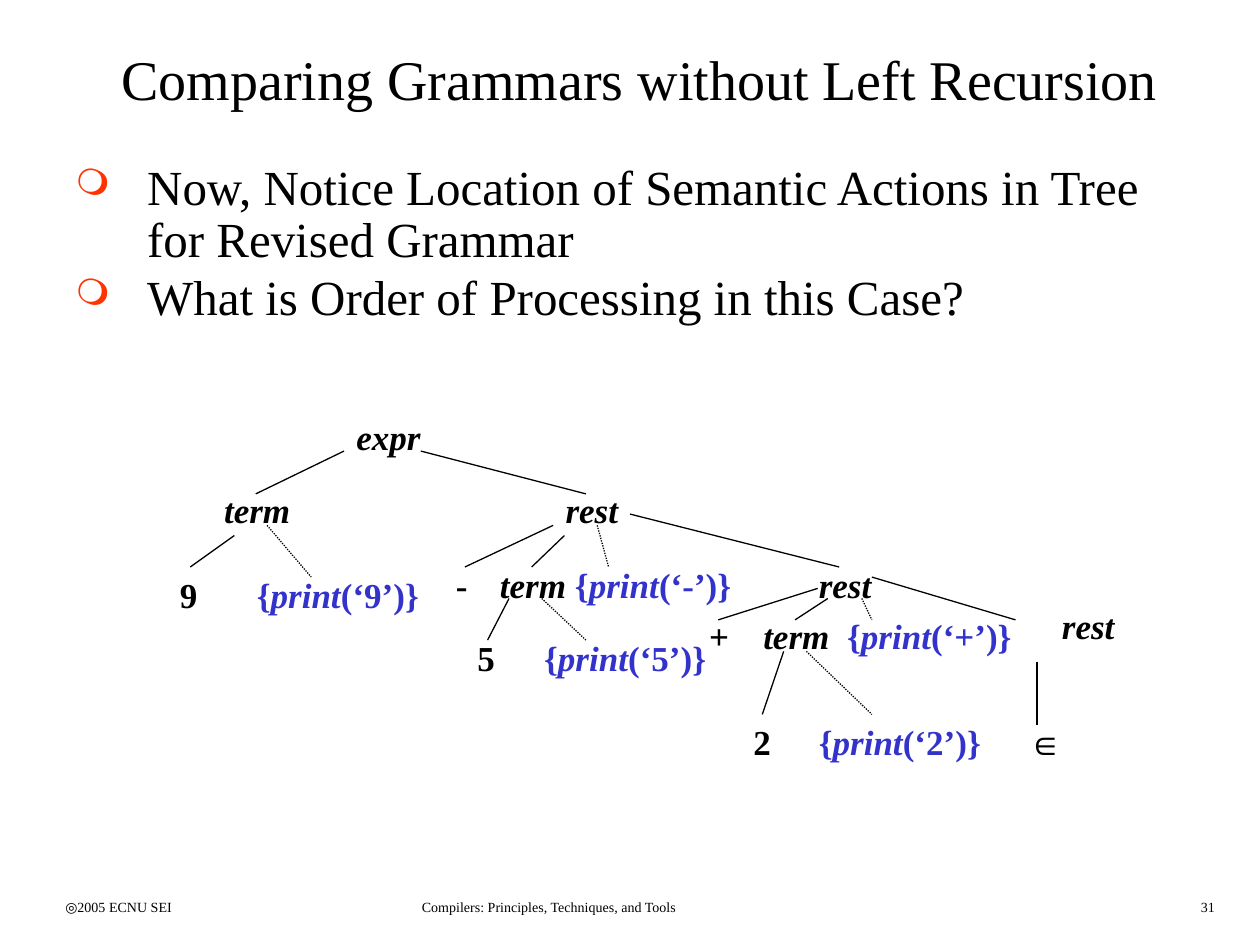
from dataclasses import dataclass
from typing import NamedTuple

from lxml.etree import SubElement
from pptx import Presentation
from pptx.dml.color import RGBColor
from pptx.enum.dml import MSO_LINE_DASH_STYLE as Dash
from pptx.enum.shapes import MSO_CONNECTOR as Connector
from pptx.enum.text import MSO_ANCHOR as Anchor, PP_ALIGN as Align
from pptx.oxml.ns import qn
from pptx.util import Inches, Pt


@dataclass(frozen=True)
class Theme:
    font: str = "Times New Roman"
    ink: RGBColor = RGBColor(0x00, 0x00, 0x00)
    action: RGBColor = RGBColor(0x33, 0x33, 0xCC)
    bullet: str = "FF3300"
    title_size: int = 32
    body_size: int = 28
    tree_size: int = 20
    footer_size: int = 8
    line_width: float = 0.75


class Node(NamedTuple):
    left: float
    top: float
    width: float
    symbol: str = ""
    action: str = ""  # the character that the semantic action prints


class Branch(NamedTuple):
    start: tuple[float, float]
    end: tuple[float, float]
    dotted: bool = False


THEME = Theme()
NONTERMINALS = ("expr", "term", "rest")
NODE_HEIGHT = 0.43

FOOTERS = [
    (0.42, 2.07, "◎2005 ECNU SEI", Align.LEFT),
    (3.25, 3.73, "Compilers: Principles, Techniques, and Tools", Align.LEFT),
    (7.67, 2.07, "31", Align.RIGHT),
]

POINTS = [
    "Now, Notice Location of Semantic Actions in Tree for Revised Grammar",
    "What is Order of Processing in this Case?",
]

NODES = [
    Node(2.73, 3.25, 1.31, "expr"),
    Node(1.68, 3.83, 1.31, "term"),
    Node(4.39, 3.83, 1.31, "rest"),
    Node(1.33, 4.5, 0.52, "9"),
    Node(1.94, 4.5, 2.53, action="9"),
    Node(3.52, 4.42, 0.52, "-"),
    Node(3.87, 4.42, 2.53, "term ", "-"),
    Node(6.4, 4.42, 1.31, "rest"),
    Node(3.69, 5, 0.52, "5"),
    Node(4.22, 5, 2.53, action="5"),
    Node(5.53, 4.83, 0.52, "+"),
    Node(5.96, 4.83, 2.53, "term  ", "+"),
    Node(8.33, 4.75, 1, "rest"),
    Node(5.88, 5.67, 0.52, "2"),
    Node(6.4, 5.67, 2.01, action="2"),
    Node(8.06, 5.67, 0.52, "∈"),
]

BRANCHES = [
    # expr
    Branch((2.73, 3.58), (2.03, 3.92)),
    Branch((3.34, 3.58), (4.65, 3.92)),
    # first term
    Branch((1.86, 4.25), (1.51, 4.5)),
    Branch((2.12, 4.17), (2.47, 4.58), dotted=True),
    # first rest
    Branch((4.39, 4.17), (3.69, 4.5)),
    Branch((4.48, 4.25), (4.22, 4.5)),
    Branch((4.74, 4.17), (4.83, 4.5), dotted=True),
    Branch((5, 4.08), (6.66, 4.5)),
    # second term
    Branch((4.04, 4.75), (3.87, 5.08)),
    Branch((4.3, 4.75), (4.65, 5.08), dotted=True),
    # second rest
    Branch((6.49, 4.67), (5.7, 4.92)),
    Branch((6.57, 4.75), (6.31, 4.92)),
    Branch((6.84, 4.75), (6.92, 4.92), dotted=True),
    Branch((6.92, 4.58), (8.06, 4.92)),
    # third term
    Branch((6.22, 5.17), (6.05, 5.67)),
    Branch((6.4, 5.17), (6.92, 5.67), dotted=True),
    # last rest
    Branch((8.23, 5.25), (8.23, 5.75)),
]


def add_box(page, left: float, top: float, width: float, height: float):
    box = page.shapes.add_textbox(Inches(left), Inches(top), Inches(width), Inches(height))
    box.text_frame.word_wrap = True
    return box.text_frame


def set_font(para, size: int, color: RGBColor | None = THEME.ink) -> None:
    para.font.name = THEME.font
    para.font.size = Pt(size)
    if color is not None:
        para.font.color.rgb = color


def add_bullet(para) -> None:
    props = para._p.get_or_add_pPr()
    props.set("marL", str(Inches(0.57)))
    props.set("indent", str(Inches(-0.57)))
    color = SubElement(props, qn("a:buClr"))
    SubElement(color, qn("a:srgbClr"), val=THEME.bullet)
    SubElement(props, qn("a:buSzPct"), val="75000")
    SubElement(props, qn("a:buChar"), char="❍")


def add_span(para, text: str, color: RGBColor, italic: bool) -> None:
    span = para.add_run()
    span.text = text
    span.font.color.rgb = color
    span.font.italic = italic


def draw_node(page, node: Node) -> None:
    para = add_box(page, node.left, node.top, node.width, NODE_HEIGHT).paragraphs[0]
    set_font(para, THEME.tree_size, color=None)
    para.font.bold = True
    if node.symbol:
        add_span(para, node.symbol, THEME.ink, node.symbol.strip() in NONTERMINALS)
    if node.action:
        add_span(para, "{", THEME.action, False)
        add_span(para, "print", THEME.action, True)
        add_span(para, f"(‘{node.action}’)}}", THEME.action, False)


def draw_branch(page, branch: Branch) -> None:
    ends = [Inches(value) for value in branch.start + branch.end]
    line = page.shapes.add_connector(Connector.STRAIGHT, *ends)
    line.line.color.rgb = THEME.ink
    line.line.width = Pt(THEME.line_width)
    if branch.dotted:
        line.line.dash_style = Dash.ROUND_DOT  # stored as sysDot
    SubElement(line._element.spPr, qn("a:effectLst"))


def main() -> None:
    deck = Presentation()
    deck.slide_width, deck.slide_height = Inches(10), Inches(7.5)
    page = deck.slides.add_slide(deck.slide_layouts[6])

    # Footer
    for left, width, text, align in FOOTERS:
        para = add_box(page, left, 7.08, width, 0.25).paragraphs[0]
        para.text, para.alignment = text, align
        set_font(para, THEME.footer_size)

    # Title
    frame = add_box(page, 0.58, 0.17, 9, 1)
    frame.vertical_anchor = Anchor.MIDDLE
    para = frame.paragraphs[0]
    para.text, para.alignment = "Comparing Grammars without Left Recursion", Align.CENTER
    para.line_spacing = 0.8
    set_font(para, THEME.title_size)

    # Bulleted points
    frame = add_box(page, 0.5, 1.25, 9, 1.5)
    for index, point in enumerate(POINTS):
        para = frame.add_paragraph() if index else frame.paragraphs[0]
        para.text = point
        add_bullet(para)
        para.line_spacing = 0.89
        if index:
            para.space_before = Pt(THEME.body_size * 0.1)
        set_font(para, THEME.body_size)

    # Parse tree
    for node in NODES:
        draw_node(page, node)
    for branch in BRANCHES:
        draw_branch(page, branch)

    deck.save("out.pptx")


if __name__ == "__main__":
    main()
